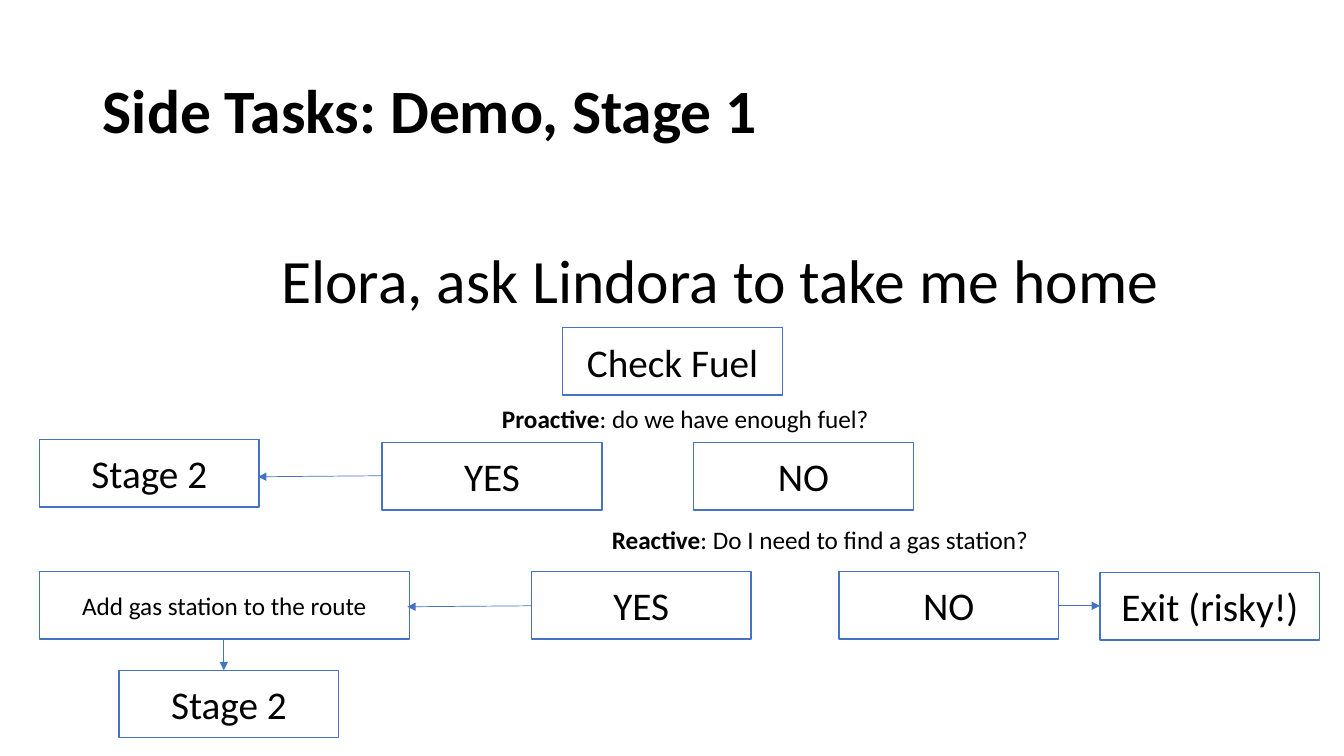
from lxml.etree import SubElement
from pptx import Presentation
from pptx.dml.color import RGBColor
from pptx.enum.shapes import MSO_CONNECTOR, MSO_SHAPE
from pptx.enum.text import MSO_ANCHOR, MSO_AUTO_SIZE, PP_ALIGN
from pptx.oxml.ns import qn
from pptx.util import Inches, Pt

COLOURS = {"text": "000000", "box": "FFFFFF", "line": "4472C4"}
BOX_WIDTH, BOX_HEIGHT = 2.18, 0.67

STEPS = [
    ("Check Fuel", 5.58, 3.25),
    ("YES", 3.79, 4.39),
    ("NO", 6.88, 4.39),
    ("Stage 2", 0.39, 4.36),
    ("YES", 5.27, 5.67),
    ("NO", 8.32, 5.67),
    ("Exit (risky!)", 10.91, 5.68),
    ("Stage 2", 1.18, 6.65),
]
ARROWS = [
    (3.79, 4.72, 2.56, 4.73),
    (5.27, 6.01, 4.04, 6.02),
    (2.22, 6.34, 2.22, 6.65),
    (10.5, 6.01, 10.91, 6.01),
]


def colour(name):
    return RGBColor.from_string(COLOURS[name])


def add_run(paragraph, text, size, bold=False):
    run = paragraph.add_run()
    run.text = text
    for key, value in {"name": "Calibri", "size": Pt(size), "bold": bold}.items():
        setattr(run.font, key, value)
    run.font.color.rgb = colour("text")


def add_title(slide, text):
    title = slide.shapes.title
    place = {"left": 0.92, "top": 0.4, "width": 11.5, "height": 1.45}
    for key, value in place.items():
        setattr(title, key, Inches(value))
    title.text_frame.vertical_anchor = MSO_ANCHOR.MIDDLE
    heading = title.text_frame.paragraphs[0]
    heading.alignment = PP_ALIGN.LEFT
    heading.line_spacing = 0.9
    add_run(heading, text, 44, True)


def add_label(slide, left, top, width, height, size, text, lead=""):
    label = slide.shapes.add_textbox(*map(Inches, (left, top, width, height)))
    frame = label.text_frame
    frame.word_wrap = True
    frame.auto_size = MSO_AUTO_SIZE.SHAPE_TO_FIT_TEXT
    if lead:
        add_run(frame.paragraphs[0], lead, size, True)
    add_run(frame.paragraphs[0], text, size)


def add_step(slide, text, left, top, width=BOX_WIDTH, size=28):
    step = slide.shapes.add_shape(
        MSO_SHAPE.RECTANGLE, *map(Inches, (left, top, width, BOX_HEIGHT)))
    step.shadow.inherit = False
    step.fill.solid()
    step.fill.fore_color.rgb = colour("box")
    step.line.color.rgb = colour("line")
    step.line.width = Pt(1)
    frame = step.text_frame
    frame.word_wrap = True
    frame.vertical_anchor = MSO_ANCHOR.MIDDLE
    frame.paragraphs[0].alignment = PP_ALIGN.CENTER
    add_run(frame.paragraphs[0], text, size)


def add_arrow(slide, *ends):
    arrow = slide.shapes.add_connector(MSO_CONNECTOR.STRAIGHT, *map(Inches, ends))
    arrow.line.color.rgb = colour("line")
    arrow.line.width = Pt(0.5)
    SubElement(arrow.line._get_or_add_ln(), qn("a:tailEnd"), type="triangle")
    SubElement(arrow._element.spPr, qn("a:effectLst"))


def main():
    deck = Presentation()
    deck.slide_width, deck.slide_height = Inches(13.33), Inches(7.5)
    slide = deck.slides.add_slide(deck.slide_layouts[5])
    add_title(slide, "Side Tasks: Demo, Stage 1")
    add_label(slide, 2.69, 2.35, 9.53, 0.84, 44, "Elora, ask Lindora to take me home")
    add_label(slide, 4.88, 3.95, 3.99, 0.4, 18, ": do we have enough fuel?", "Proactive")
    add_label(slide, 5.97, 5.15, 4.73, 0.4, 18,
              ": Do I need to find a gas station?", "Reactive")
    for step in STEPS:
        add_step(slide, *step)
    add_step(slide, "Add gas station to the route", 0.39, 5.67, 3.67, 18)
    for arrow in ARROWS:
        add_arrow(slide, *arrow)
    deck.save("out.pptx")


if __name__ == "__main__":
    main()
